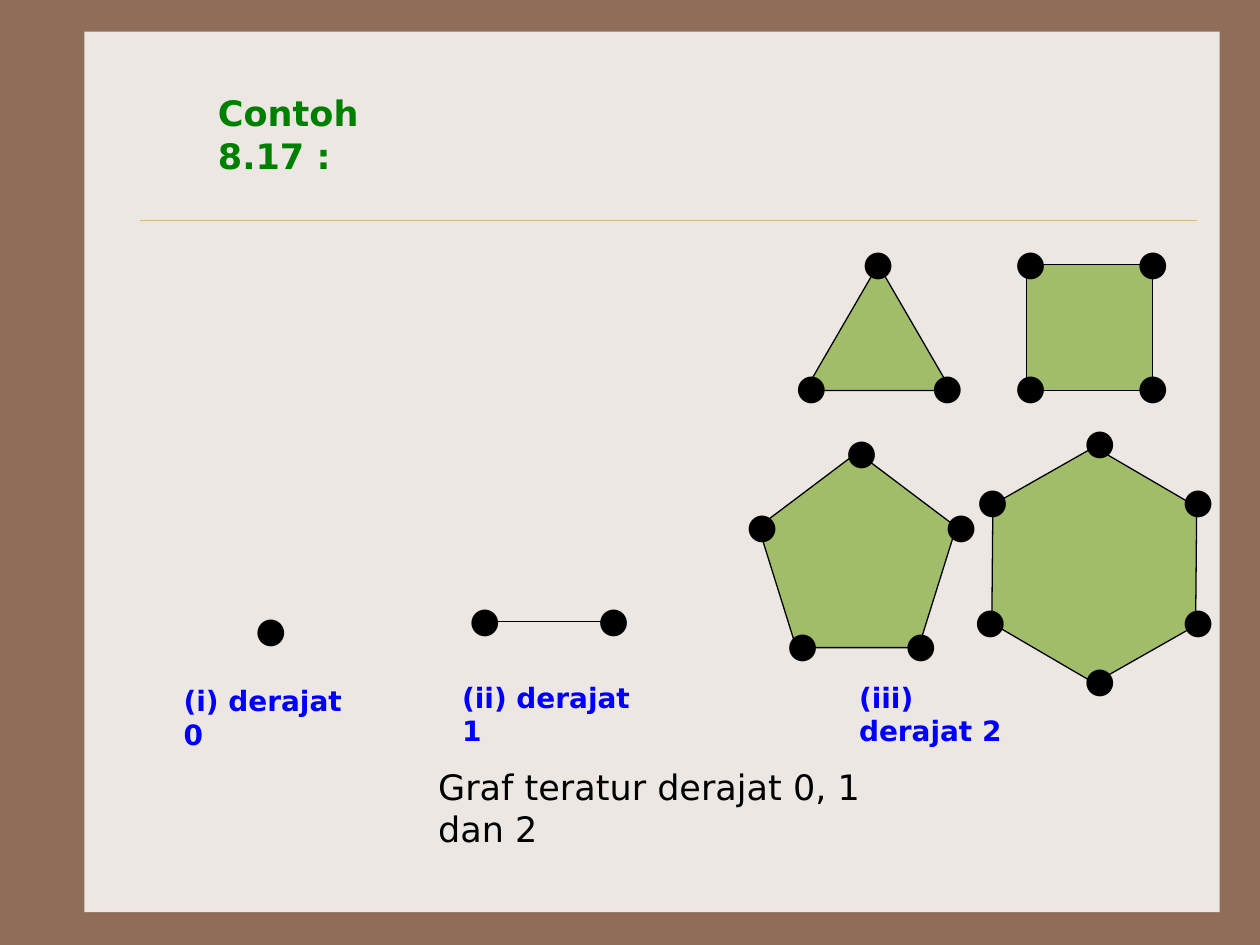
from lxml import etree
from pptx import Presentation
from pptx.dml.color import RGBColor
from pptx.enum.shapes import MSO_CONNECTOR as Connector, MSO_SHAPE as Shape
from pptx.enum.text import MSO_ANCHOR as Anchor, MSO_AUTO_SIZE as AutoSize, PP_ALIGN as Align
from pptx.oxml.ns import qn
from pptx.util import Inches, Pt

COLORS = {
    "frame": "906D58",
    "panel": "EDE7E3",
    "rule": "CBBD83",
    "face": "A1BD69",
    "ink": "000000",
    "title": "008000",
    "caption": "0000FF",
}
FONT = "DejaVu Sans"
DOT_SIZE = 0.44

# Each graph: shape, box, rotation, adjustments, dot offsets from the box corner
CYCLES = [
    (Shape.ISOSCELES_TRIANGLE, (6.39, 2.1, 1.16, 1), 0, [],
     [(0.36, -0.24), (0.91, 0.74), (-0.17, 0.74)]),
    (Shape.RECTANGLE, (8.15, 2.1, 1, 1), 0, [],
     [(x, y) for y in (-0.24, 0.74) for x in (0.78, -0.19)]),
    (Shape.REGULAR_PENTAGON, (6.02, 3.59, 1.57, 1.55), 0, [],
     [(1.39, 0.36), (0.6, -0.23), (-0.19, 0.36), (1.07, 1.3), (0.13, 1.3)]),
    (Shape.HEXAGON, (7.75, 3.67, 1.87, 1.63), 330.4, [0.29],
     [(0.76, -0.39), (-0.09, 0.08), (1.54, 0.08),
      (1.54, 1.03), (0.76, 1.5), (-0.11, 1.03)]),
]
CAPTIONS = [
    ("(i) derajat 0", (1.36, 5.38, 1.46, 0.37)),
    ("(ii) derajat 1", (3.57, 5.35, 1.53, 0.37)),
    ("(iii) derajat 2", (6.72, 5.35, 1.6, 0.37)),
]


def rgb(name):
    return RGBColor.from_string(COLORS[name])


def inches(box):
    return [Inches(length) for length in box]


def write(holder, text, size, color, bold=False):
    frame = holder.text_frame
    frame.word_wrap = True
    frame.auto_size = AutoSize.NONE
    frame.vertical_anchor = Anchor.TOP
    frame.text = text
    paragraph = frame.paragraphs[0]
    paragraph.alignment = Align.LEFT
    font = paragraph.runs[0].font
    font.name, font.size, font.bold = FONT, Pt(size), bold
    font.color.rgb = rgb(color)


def add_label(shapes, text, box, size, color, bold=False):
    write(shapes.add_textbox(*inches(box)), text, size, color, bold)


def add_dots(shapes, left, top, offsets):
    for dx, dy in offsets:
        add_label(shapes, "●", (left + dx, top + dy, DOT_SIZE, DOT_SIZE), 20, "ink")


def add_line(shapes, start, end, color, width):
    line = shapes.add_connector(Connector.STRAIGHT, *inches(start + end))
    line.line.color.rgb = rgb(color)
    line.line.width = Pt(width)
    etree.SubElement(line.element.spPr, qn("a:effectLst"))


def add_face(shapes, kind, box, fill):
    face = shapes.add_shape(kind, *inches(box))
    face.shadow.inherit = False
    face.fill.solid()
    face.fill.fore_color.rgb = rgb(fill)
    return face


def add_backdrop(slide):
    slide.background.fill.solid()
    slide.background.fill.fore_color.rgb = rgb("frame")
    panel = add_face(slide.shapes, Shape.RECTANGLE, (0.67, 0.25, 9.01, 6.99), "panel")
    panel.line.fill.background()
    add_line(slide.shapes, (1.11, 1.75), (9.5, 1.75), "rule", 0.25)


def add_title(slide, text, box):
    title = slide.shapes.title
    title.left, title.top, title.width, title.height = inches(box)
    write(title, text, 20, "title", bold=True)
    slide.shapes.element.append(title.element)  # bring in front of the panel


def add_cycle(slide, kind, box, rotation, adjustments, offsets):
    shapes = slide.shapes.add_group_shape().shapes
    face = add_face(shapes, kind, box, "face")
    face.line.color.rgb = rgb("ink")
    face.line.width = Pt(0.75)
    face.rotation = rotation
    for index, value in enumerate(adjustments):
        face.adjustments[index] = value
    add_dots(shapes, *box[:2], offsets)


def add_edge(slide, left, top, length):
    shapes = slide.shapes.add_group_shape().shapes
    add_line(shapes, (left, top), (left + length, top), "ink", 0.75)
    add_dots(shapes, left, top, [(x - 0.19, -0.24) for x in (0, length)])


def main():
    deck = Presentation()
    deck.slide_width, deck.slide_height = Inches(10), Inches(7.5)
    slide = deck.slides.add_slide(deck.slide_layouts[5])
    add_backdrop(slide)
    add_title(slide, "Contoh 8.17 :", (1.63, 0.68, 2.06, 0.44))
    for cycle in CYCLES:
        add_cycle(slide, *cycle)
    add_edge(slide, 3.82, 4.93, 1.02)
    add_dots(slide.shapes, 1.93, 4.77, [(0, 0)])
    for text, box in CAPTIONS:
        add_label(slide.shapes, text, box, 16, "caption", bold=True)
    add_label(slide.shapes, "Graf teratur derajat 0, 1 dan 2",
              (3.38, 6.03, 4.1, 0.44), 20, "ink")
    deck.save("out.pptx")


if __name__ == "__main__":
    main()
